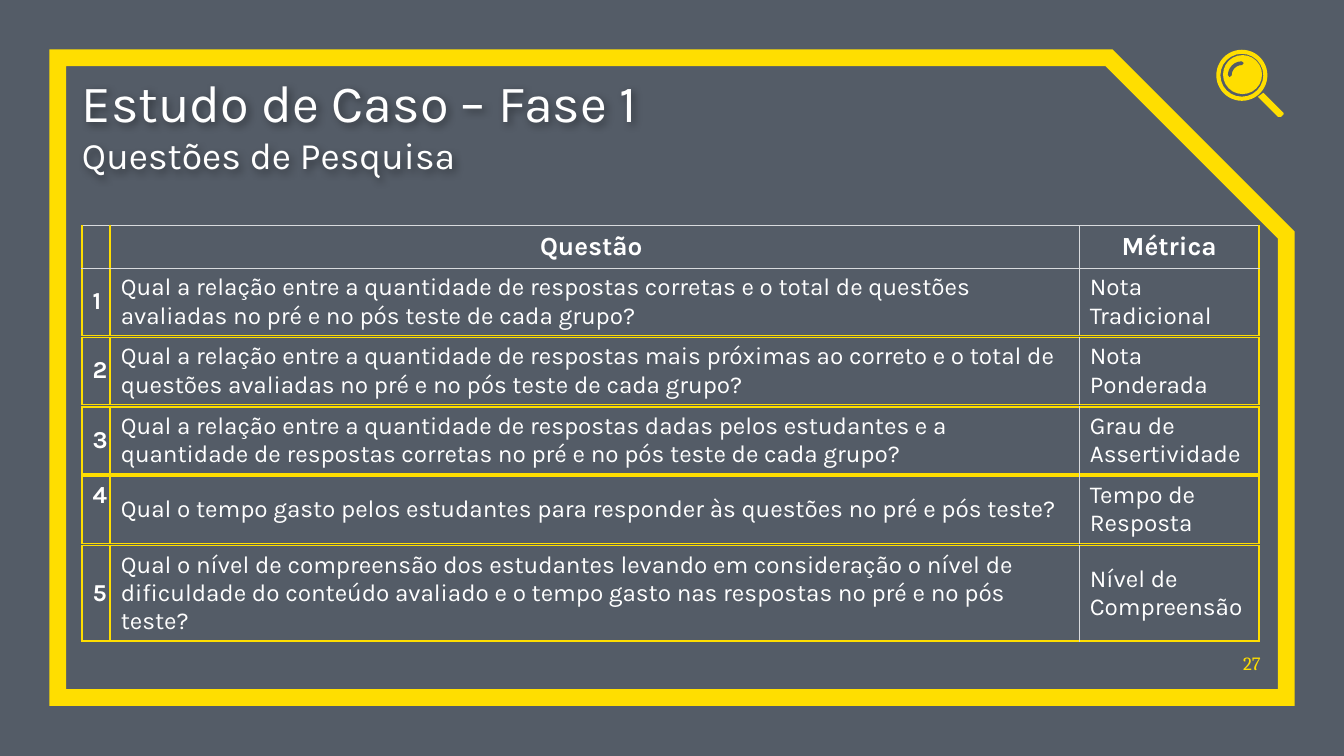
from dataclasses import dataclass

from lxml import etree
from pptx import Presentation
from pptx.dml.color import RGBColor
from pptx.enum.shapes import MSO_SHAPE
from pptx.enum.text import MSO_ANCHOR, MSO_AUTO_SIZE, PP_ALIGN
from pptx.oxml import parse_xml
from pptx.oxml.ns import nsdecls, qn
from pptx.util import Inches, Pt

LEFT, CENTER, RIGHT = PP_ALIGN.LEFT, PP_ALIGN.CENTER, PP_ALIGN.RIGHT
MIDDLE, BOTTOM = MSO_ANCHOR.MIDDLE, MSO_ANCHOR.BOTTOM


@dataclass(frozen=True)
class Theme:
    back: str = "545C67"
    accent: str = "FFDE00"
    rule: str = "D9DBDE"
    text: str = "FFFFFF"
    font: str = "Karla"
    number_font: str = "Cambria"
    title: int = 28
    subtitle: int = 20
    header: int = 14
    body: int = 13
    number: int = 10


THEME = Theme()
ACCENT = RGBColor.from_string(THEME.accent)
BACK = RGBColor.from_string(THEME.back)

# Table grid, in inches; rows grow to fit their text
GRID_LEFT, GRID_TOP = 0.61, 1.68
COLUMNS = (0.21, 7.21, 1.34)
HEADER_HEIGHT, ROW_HEIGHT, LAST_HEIGHT = 0.24, 0.41, 0.47
SECOND_TOP, LAST_TOP = 2.51, 4.06

HEADER = ("", "Questão ", "Métrica")
QUESTIONS = (
    ("1", "Qual a relação entre a quantidade de respostas corretas e o total de questões "
     "avaliadas no pré e no pós teste de cada grupo?", "Nota Tradicional"),
    ("2", "Qual a relação entre a quantidade de respostas mais próximas ao correto e o total "
     "de questões avaliadas no pré e no pós teste de cada grupo?", "Nota Ponderada"),
    ("3", "Qual a relação entre a quantidade de respostas dadas pelos estudantes e a "
     "quantidade de respostas corretas no pré e no pós teste de cada grupo?",
     "Grau de Assertividade"),
    ("4 ", "Qual o tempo gasto pelos estudantes para responder às questões no pré e pós teste?",
     "Tempo de Resposta"),
    ("5", "Qual o nível de compreensão dos estudantes levando em consideração o nível de "
     "dificuldade do conteúdo avaliado e o tempo gasto nas respostas no pré e no pós teste?",
     "Nível de Compreensão"),
)


def set_font(font, size, bold=False, color=THEME.text, name=THEME.font):
    font.name, font.size, font.bold = name, Pt(size), bold
    font.color.rgb = RGBColor.from_string(color)


def fill_cell(cell, text, column, is_header, below_header):
    """Write one table cell with its margins, font and four borders."""
    cell.margin_left = cell.margin_right = Inches(0.08)
    cell.margin_top = cell.margin_bottom = Inches(0.04)
    cell.vertical_anchor = MIDDLE
    cell.fill.background()
    para = cell.text_frame.paragraphs[0]
    para.alignment = CENTER if is_header or column == 0 else LEFT
    size = THEME.header if is_header else THEME.body
    if text:
        para.text = text
        set_font(para.font, size, bold=is_header or column == 0)
    else:
        etree.SubElement(para._p, qn("a:endParaRPr"), sz=str(size * 100))
    pale = {"lnL": column == 2, "lnR": column == 1,
            "lnT": is_header or below_header, "lnB": is_header}
    properties = cell._tc.get_or_add_tcPr()
    for position, (side, is_pale) in enumerate(pale.items()):
        color, width = (THEME.rule, Pt(0.5)) if is_pale else (THEME.accent, Pt(1))
        properties.insert(position, parse_xml(
            f'<a:{side} {nsdecls("a")} w="{width}"><a:solidFill>'
            f'<a:srgbClr val="{color}"/></a:solidFill></a:{side}>'))


deck = Presentation()
deck.slide_width = Inches(10)
deck.slide_height = deck.slide_width * 9 // 16
page = deck.slides.add_slide(deck.slide_layouts[5])
page.background.fill.solid()
page.background.fill.fore_color.rgb = BACK

# Frame with a cut corner
frame = page.shapes.add_shape(MSO_SHAPE.SNIP_1_RECTANGLE, Inches(0.43), Inches(0.43),
                              Inches(9.14), Inches(4.76))
frame.adjustments[0] = 0.277
frame.shadow.inherit = False
frame.fill.background()
frame.line.color.rgb = ACCENT
frame.line.width = Pt(9)
etree.SubElement(frame.line._get_or_add_ln(), qn("a:miter"), lim="800000")

# Title and page number
title = page.shapes.title
title.left, title.top = Inches(GRID_LEFT), Inches(0.46)
title.width, title.height = Inches(7.57), Inches(0.86)
title.element.spPr.append(parse_xml(
    f'<a:effectLst {nsdecls("a")}><a:outerShdw blurRad="50800" dist="19050" dir="2700000">'
    '<a:srgbClr val="000000"><a:alpha val="40000"/></a:srgbClr></a:outerShdw></a:effectLst>'))
number = page.shapes.add_textbox(Inches(9.11), Inches(4.74), Inches(0.27), Inches(0.28))
for box in (title, number):
    text_frame = box.text_frame
    text_frame.margin_left = text_frame.margin_right = 0
    text_frame.margin_top = text_frame.margin_bottom = 0
    text_frame.vertical_anchor = BOTTOM
    text_frame.word_wrap = True
    text_frame.auto_size = MSO_AUTO_SIZE.NONE

para = title.text_frame.paragraphs[0]
para.alignment = LEFT
span = para.add_run()
span.text = "Estudo de Caso – Fase 1"
set_font(span.font, THEME.title)
para.add_line_break()
span = para.add_run()
span.text = "Questões de Pesquisa"
set_font(span.font, THEME.subtitle)

para = number.text_frame.paragraphs[0]
para.text = "27"
para.alignment = RIGHT
set_font(para.font, THEME.number, color=THEME.accent, name=THEME.number_font)

# Magnifying glass: rim, lens, handle and glint
magnifier = page.shapes.add_group_shape().shapes
rim = magnifier.add_shape(MSO_SHAPE.DONUT, Inches(9.05), Inches(0.37),
                          Inches(0.38), Inches(0.38))
rim.adjustments[0] = 0.08
lens = magnifier.add_shape(MSO_SHAPE.OVAL, Inches(9.1), Inches(0.41),
                           Inches(0.29), Inches(0.29))
outline = magnifier.build_freeform(940, 69, scale=Inches(0.01))
outline.add_line_segments([(936, 72), (951, 87), (953, 87), (955, 85), (955, 84)])
handle = outline.convert_to_shape()
for part in (rim, lens, handle):
    part.shadow.inherit = False
    part.fill.solid()
    part.fill.fore_color.rgb = ACCENT
    part.line.fill.background()
glint = magnifier.add_shape(MSO_SHAPE.ARC, Inches(9.15), Inches(0.47),
                            Inches(0.18), Inches(0.18))
glint.adjustments[0], glint.adjustments[1] = 108, 162  # 180° to 270°
glint.shadow.inherit = False
glint.fill.background()
glint.line.color.rgb = BACK
glint.line.width = Pt(2)
glint.line._get_or_add_ln().set("cap", "rnd")

# One table per question; the first also carries the header
last = len(QUESTIONS) - 1
row_step = (LAST_TOP - SECOND_TOP) / (last - 1)
for index, question in enumerate(QUESTIONS):
    rows = [question]
    heights = [LAST_HEIGHT if index == last else ROW_HEIGHT]
    top = SECOND_TOP + (index - 1) * row_step
    if index == 0:
        rows.insert(0, HEADER)
        heights.insert(0, HEADER_HEIGHT)
        top = GRID_TOP
    table = page.shapes.add_table(len(rows), len(COLUMNS), Inches(GRID_LEFT), Inches(top),
                                  Inches(sum(COLUMNS)), Inches(sum(heights))).table
    table.first_row = table.horz_banding = False
    for column, width in enumerate(COLUMNS):
        table.columns[column].width = Inches(width)
    for row, (texts, height) in enumerate(zip(rows, heights)):
        table.rows[row].height = Inches(height)
        for column, text in enumerate(texts):
            fill_cell(table.cell(row, column), text, column, texts is HEADER, row == 1)

deck.save("out.pptx")
